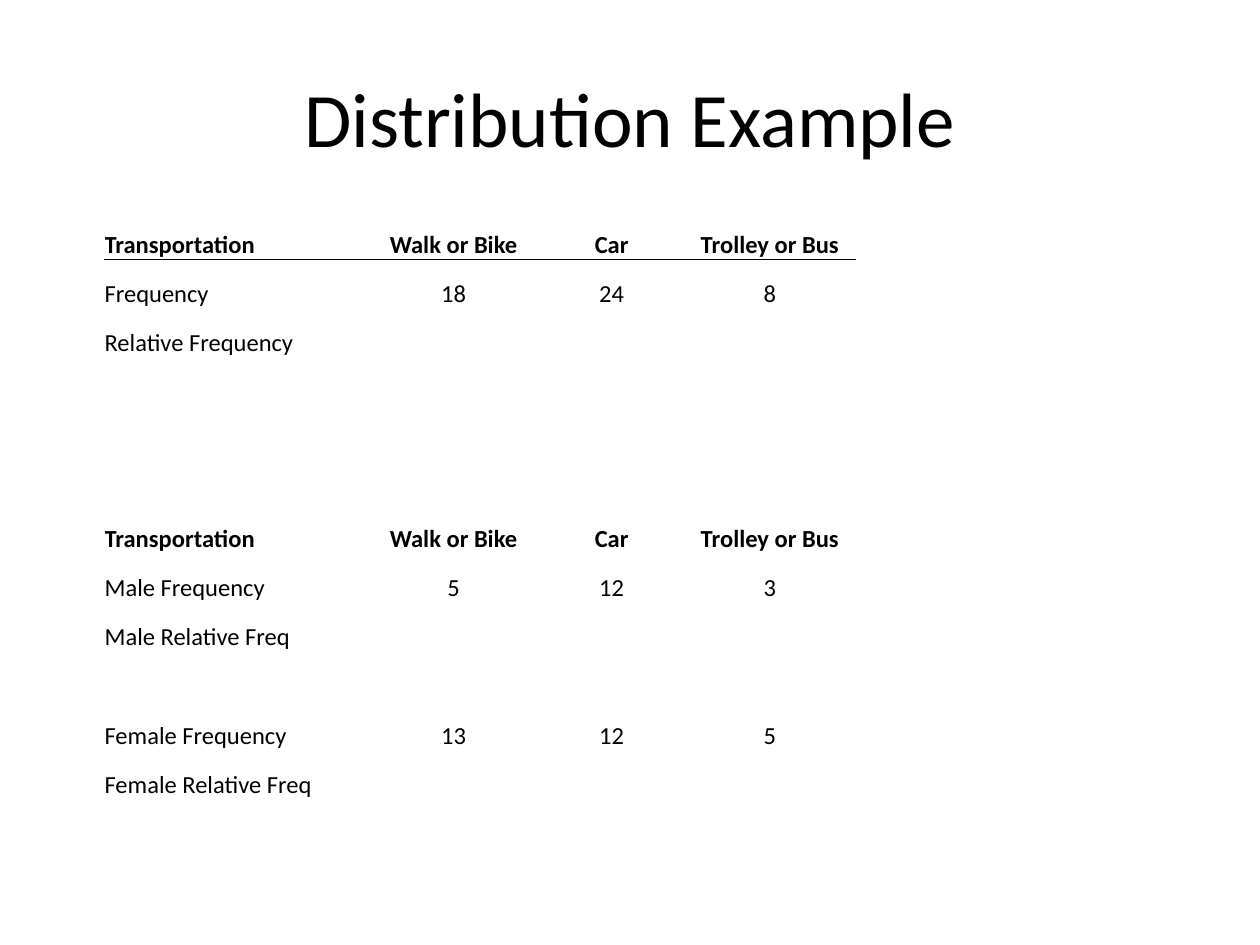
import pptx
import pptx.util
import pptx.dml.color
import pptx.enum.text
import pptx.oxml
import pptx.oxml.ns

SCALE = 9144  # EMU per px, 100 px to the inch
BLACK = pptx.dml.color.RGBColor(0, 0, 0)
WHITE = pptx.dml.color.RGBColor(255, 255, 255)
ALIGN = pptx.enum.text.PP_ALIGN
ANCHOR = pptx.enum.text.MSO_ANCHOR

HEAD = ["Transportation", "Walk or Bike", "Car", "Trolley or Bus"]
COLS = [208, 138, 113, 138, 110, 110]
HIGH = 39
ROWS = [
    HEAD,
    ["Frequency", "18", "24", "8"],
    ["Relative Frequency"],
    [],
    [],
    [],
    HEAD,
    ["Male Frequency", "5", "12", "3"],
    ["Male Relative Freq"],
    [],
    ["Female Frequency", "13", "12", "5"],
    ["Female Relative Freq"],
]


def px(*nums):
    return [pptx.util.Emu(num * SCALE) for num in nums]


def write(frame, text, size=14, bold=False, align=ALIGN.CENTER, color=BLACK, font="Calibri"):
    para = frame.paragraphs[0]
    para.alignment = align
    run = para.add_run()
    run.text = text
    run.font.name = font
    run.font.size = pptx.util.Pt(size)
    run.font.bold = bold
    run.font.color.rgb = color


def rule(cell, side, color, width=0.5):
    """Draw one border of a cell; side is T or B."""
    line = pptx.oxml.parse_xml(
        f'<a:ln{side} {pptx.oxml.ns.nsdecls("a")} w="{pptx.util.Pt(width)}">'
        f'<a:solidFill><a:srgbClr val="{color}"/></a:solidFill></a:ln{side}>'
    )
    cell._tc.get_or_add_tcPr().insert(0, line)


class Deck:
    def __init__(self, wide, high):
        self.show = pptx.Presentation()
        self.show.slide_width, self.show.slide_height = px(wide, high)
        self.slide = self.show.slides.add_slide(self.show.slide_layouts[6])

    def title(self, text, *box):
        frame = self.slide.shapes.add_textbox(*px(*box)).text_frame
        frame.word_wrap = True
        frame.vertical_anchor = ANCHOR.MIDDLE
        write(frame, text, size=44)

    def table(self, rows, cols, high, left, top):
        box = px(left, top, sum(cols), high * len(rows))
        grid = self.slide.shapes.add_table(len(rows), len(cols), *box).table
        grid.first_row = grid.horz_banding = False
        for col, wide in zip(grid.columns, px(*cols)):
            col.width = wide
        for line, texts in zip(grid.rows, rows):
            line.height = px(high)[0]
            for cell in line.cells:
                self.blank(cell)
            for spot, text in enumerate(texts):
                align = ALIGN.CENTER if spot else ALIGN.LEFT
                write(line.cells[spot].text_frame, text, bold=texts is HEAD, align=align)
        return grid

    def blank(self, cell):
        cell.fill.solid()
        cell.fill.fore_color.rgb = WHITE
        cell.vertical_anchor = ANCHOR.BOTTOM
        cell.margin_left = cell.margin_right = 0
        cell.margin_top = cell.margin_bottom = 0


def main():
    deck = Deck(1000, 750)

    # Title
    deck.title("Distribution Example", 50, 30, 900, 125)

    # Frequency table, with a line under each heading row
    grid = deck.table(ROWS, COLS, HIGH, 83, 167)
    for row, color in ((0, BLACK), (6, WHITE)):
        for col in range(len(HEAD)):
            rule(grid.cell(row, col), "B", color)
            rule(grid.cell(row + 1, col), "T", color)

    deck.show.save("out.pptx")


if __name__ == "__main__":
    main()
